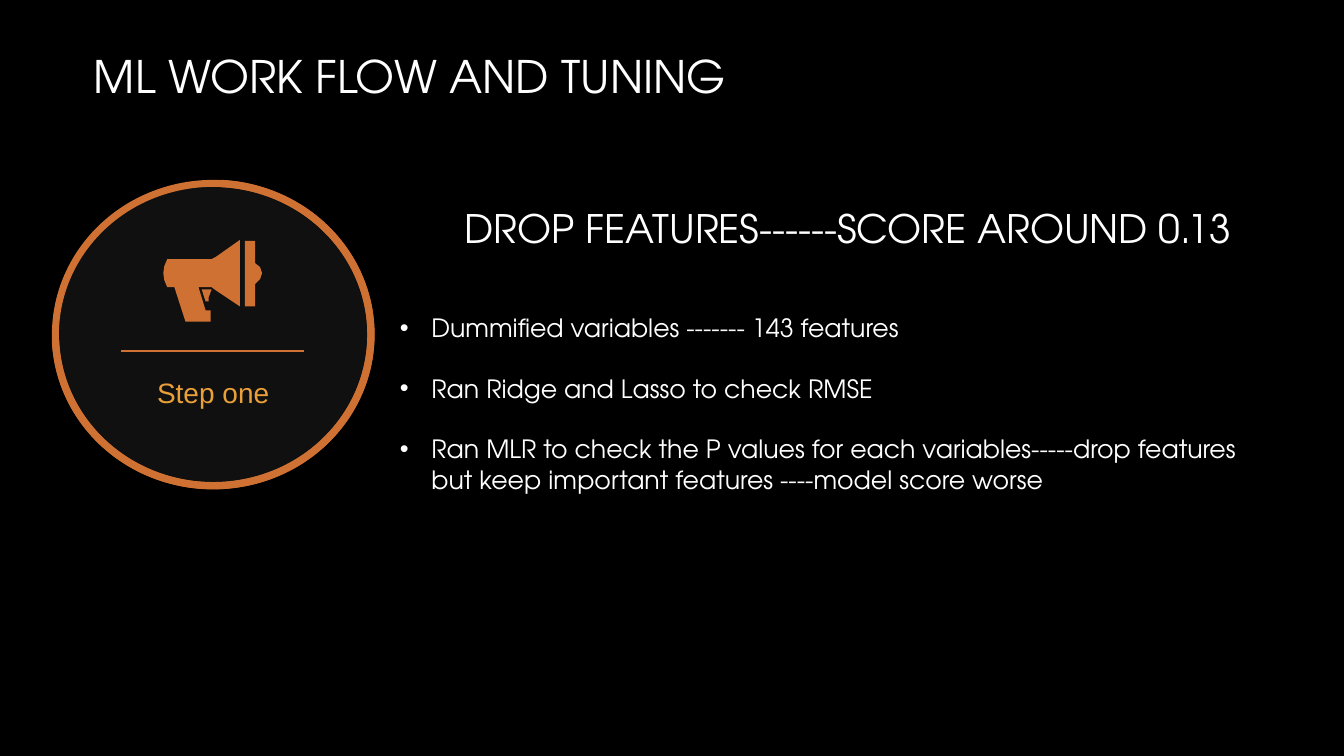
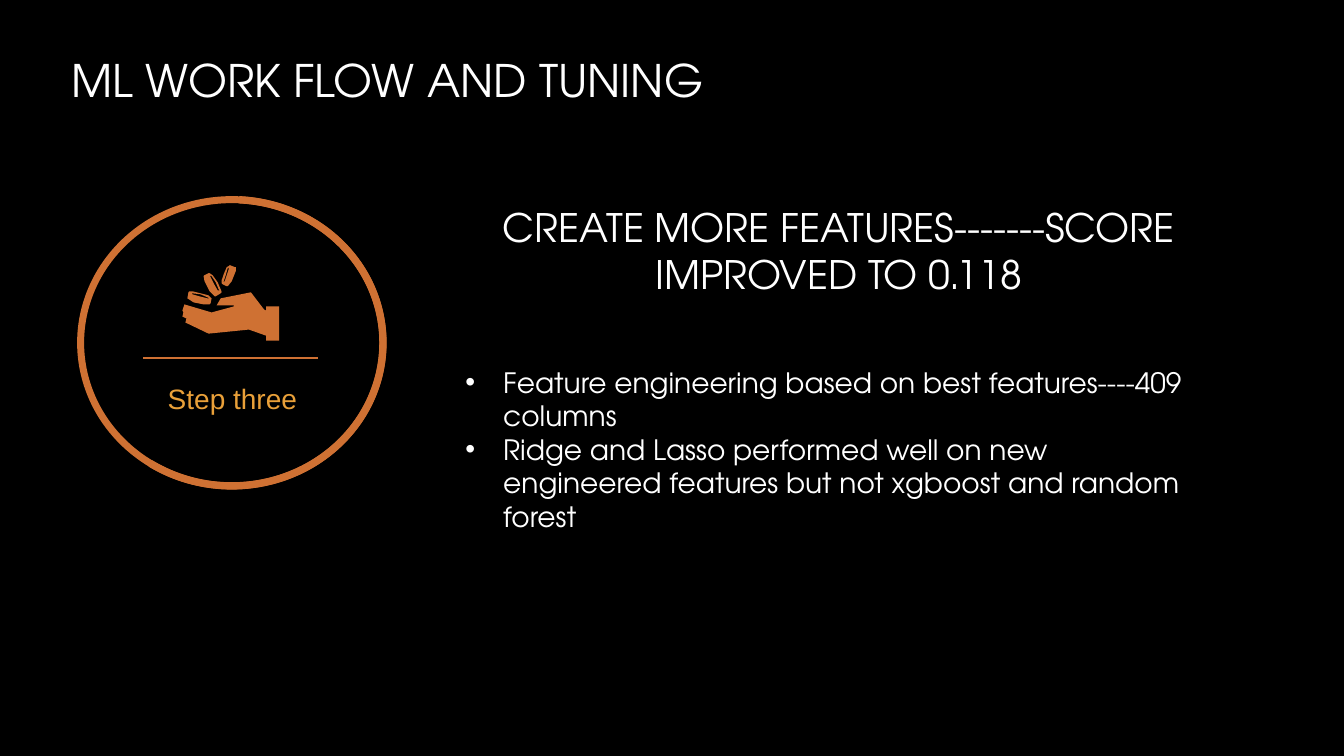
"""Build two slides on the steps of a machine learning work flow."""
from pptx import Presentation
from pptx.dml.color import RGBColor
from pptx.enum import shapes, text
from pptx.oxml.xmlchemy import OxmlElement
from pptx.util import Pt

COLORS = {"background": "000000", "title": "FFFFFF", "accent": "CF7133", "label": "E9A039"}
HEADING_FONT = "TeX Gyre Adventor"
LABEL_FONT = "Arial"
HUNDREDTH_INCH = Pt(0.72)

MEGAPHONE = [
    [(166, 257), (210, 257), (214, 255), (238, 238), (238, 304), (214, 288), (210, 285),
     (197, 285), (204, 308), (209, 308), (209, 319), (184, 319), (173, 285), (166, 285),
     (163, 278), (162, 271), (163, 264)],
    [(253, 261), (258, 265), (260, 271), (258, 277), (253, 282), (253, 304), (243, 304),
     (243, 239), (253, 239)],
    [(210, 287), (200, 287), (204, 299), (207, 299), (207, 295)],
]
HAND_WITH_COINS = [
    [(264, 308), (264, 304), (277, 304), (277, 338), (264, 338), (264, 333), (247, 327),
     (207, 331), (184, 320), (185, 316), (181, 314), (182, 310), (181, 308), (183, 302),
     (210, 310), (232, 304), (232, 303), (215, 303), (219, 296), (249, 290), (262, 307)],
    [(199, 291), (207, 293), (210, 296), (209, 301), (208, 302), (202, 302), (192, 300),
     (186, 296), (187, 290), (188, 289), (191, 289)],
    [(206, 295), (199, 292), (191, 291), (190, 291), (191, 292), (198, 294), (206, 296),
     (208, 296)],
    [(216, 280), (219, 287), (220, 290), (219, 291), (214, 294), (213, 294), (208, 289),
     (203, 279), (202, 274), (203, 273), (207, 271), (208, 271), (211, 273)],
    [(217, 287), (214, 280), (210, 274), (208, 273), (209, 275), (212, 281), (216, 288),
     (218, 288)],
    [(222, 272), (220, 278), (220, 281), (221, 282), (225, 284), (226, 284), (230, 279),
     (234, 269), (234, 265), (233, 265), (228, 263), (227, 264), (225, 265)],
    [(226, 266), (224, 273), (222, 279), (222, 280), (223, 279), (225, 273), (227, 267),
     (227, 265)],
]

STEPS = [
    dict(title=(60, 0), circle=(39.6, 131, 225.4, 216), circle_fill="181818", arc_end=178,
         label="Step one", label_box=(94.3, 265, 116, 78.5), rule=(86.4, 217.4, 250.6),
         icon=MEGAPHONE, body=(278.6, 142.6, 641.5, 216),
         heading="DROP FEATURES------SCORE AROUND 0.13",
         heading_align=text.PP_ALIGN.LEFT, heading_indent=46.4,
         size=18, indent=22.5, first_gap=43.4, gap=21.7,
         bullets=["Dummified variables ------- 143 features",
                  "Ran Ridge and Lasso to check RMSE",
                  "Ran MLR to check the P values for each variables-----drop features "
                  "but keep important features ----model score worse"]),
    dict(title=(44, 2.9), circle=(57.6, 142.6, 216, 204.5), circle_fill="000000", arc_end=124,
         label="Step three", label_box=(110.2, 269.3, 111.6, 31.7), rule=(102.2, 227.5, 255.6),
         icon=HAND_WITH_COINS, body=(325.4, 141.8, 547.2, 266.4),
         heading="CREATE MORE FEATURES-------SCORE IMPROVED TO 0.118",
         heading_align=text.PP_ALIGN.CENTER, heading_indent=0,
         size=20, indent=27, first_gap=48.2, gap=0,
         bullets=["Feature engineering based on best features----409 columns",
                  "Ridge and Lasso performed well on new engineered features "
                  "but not xgboost and random forest"]),
]


def add_text(parent, box, content, size, font, color):
    """Add a wrapped text box and return its text frame."""
    frame = parent.add_textbox(*[Pt(length) for length in box]).text_frame
    frame.word_wrap = True
    frame.text = content
    style(frame.paragraphs[0], size, font, color)
    return frame


def style(paragraph, size, font, color):
    """Format every run of a paragraph."""
    for run in paragraph.runs:
        run.font.size = Pt(size)
        run.font.name = font
        run.font.color.rgb = RGBColor.from_string(COLORS[color])


presentation = Presentation()
presentation.slide_width, presentation.slide_height = Pt(960), Pt(540)
accent = RGBColor.from_string(COLORS["accent"])

for step in STEPS:
    slide = presentation.slides.add_slide(presentation.slide_layouts[6])
    slide.background.fill.solid()
    slide.background.fill.fore_color.rgb = RGBColor.from_string(COLORS["background"])

    title = add_text(slide.shapes, (*step["title"], 900, 107.3), "ML WORK FLOW AND TUNING",
                     32, HEADING_FONT, "title")
    title.vertical_anchor = text.MSO_ANCHOR.MIDDLE

    body = add_text(slide.shapes, step["body"], step["heading"], 28, HEADING_FONT, "title")
    heading = body.paragraphs[0]
    heading.alignment = step["heading_align"]
    heading._p.get_or_add_pPr().set("marL", str(Pt(step["heading_indent"])))
    for index, bullet in enumerate(step["bullets"]):
        paragraph = body.add_paragraph()
        paragraph.text = bullet
        paragraph.space_before = Pt(step["gap"] if index else step["first_gap"])
        properties = paragraph._p.get_or_add_pPr()
        properties.set("marL", str(Pt(step["indent"])))
        properties.set("indent", str(-Pt(step["indent"])))
        for tag, key, value in (("a:buFont", "typeface", "Arial"), ("a:buChar", "char", "•")):
            element = OxmlElement(tag)
            element.set(key, value)
            properties.append(element)
        style(paragraph, step["size"], HEADING_FONT, "title")

    badge = slide.shapes.add_group_shape().shapes
    circle_box = [Pt(length) for length in step["circle"]]
    circle = badge.add_shape(shapes.MSO_SHAPE.OVAL, *circle_box)
    circle.fill.solid()
    circle.fill.fore_color.rgb = RGBColor.from_string(step["circle_fill"])
    alpha = OxmlElement("a:alpha")
    alpha.set("val", "70000")
    circle._element.spPr.find(".//{*}srgbClr").append(alpha)

    arc = badge.add_shape(shapes.MSO_SHAPE.ARC, *circle_box)
    arc.fill.background()
    arc.adjustments[0] = 273 * 0.6
    arc.adjustments[1] = step["arc_end"] * 0.6
    for shape, width in ((circle, 5), (arc, 5.25)):
        shape.shadow.inherit = False
        shape.line.color.rgb = accent
        shape.line.width = Pt(width)

    label = add_text(badge, step["label_box"], step["label"], 20, LABEL_FONT, "label")
    label.paragraphs[0].alignment = text.PP_ALIGN.CENTER

    left, right, height = [Pt(length) for length in step["rule"]]
    rule = badge.add_connector(shapes.MSO_CONNECTOR.STRAIGHT, left, height, right, height)
    rule.line.color.rgb = accent
    rule.line.width = Pt(1.75)
    rule._element.spPr.append(OxmlElement("a:effectLst"))

    first, *others = step["icon"]
    builder = badge.build_freeform(*first[0], scale=HUNDREDTH_INCH)
    builder.add_line_segments(first[1:])
    for outline in others:
        builder.move_to(*outline[0])
        builder.add_line_segments(outline[1:])
    icon = builder.convert_to_shape()
    icon.shadow.inherit = False
    icon.fill.solid()
    icon.fill.fore_color.rgb = accent
    icon.line.fill.background()

presentation.save("out.pptx")
